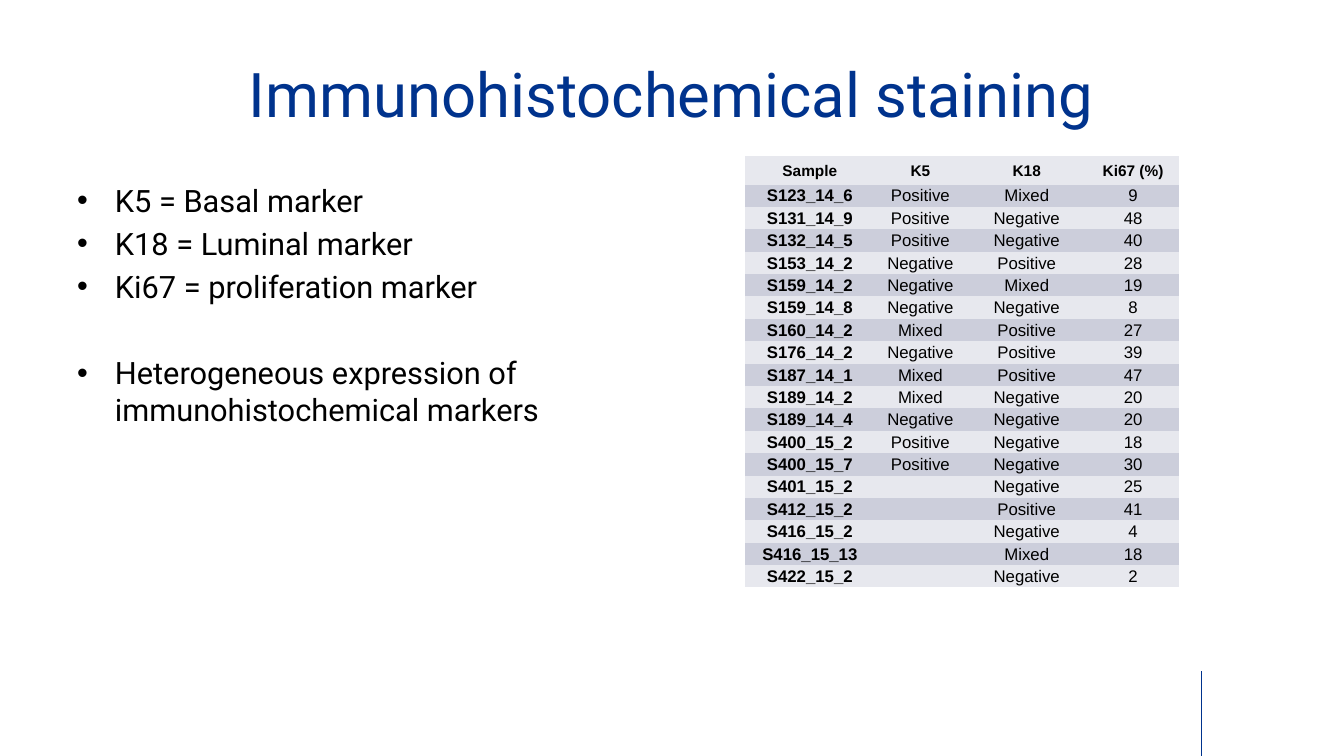
from dataclasses import dataclass

from lxml.etree import SubElement
from pptx import Presentation
from pptx.dml.color import RGBColor
from pptx.enum.shapes import MSO_CONNECTOR
from pptx.enum.text import MSO_ANCHOR, MSO_AUTO_SIZE, PP_ALIGN
from pptx.oxml.ns import qn
from pptx.util import Cm, Pt

TITLE = "Immunohistochemical staining"

# Bullet text and the space before it in points
BULLETS = [
    ("K5 = Basal marker", 0),
    ("K18 = Luminal marker", 4.4),
    ("Ki67 = proliferation marker", 4.4),
    ("Heterogeneous expression of immunohistochemical markers", 35.2),
]

HEADER = ("Sample", "K5", "K18", "Ki67 (%)")
SAMPLES = [
    ("S123_14_6", "Positive", "Mixed", "9"),
    ("S131_14_9", "Positive", "Negative", "48"),
    ("S132_14_5", "Positive", "Negative", "40"),
    ("S153_14_2", "Negative", "Positive", "28"),
    ("S159_14_2", "Negative", "Mixed", "19"),
    ("S159_14_8", "Negative", "Negative", "8"),
    ("S160_14_2", "Mixed", "Positive", "27"),
    ("S176_14_2", "Negative", "Positive", "39"),
    ("S187_14_1", "Mixed", "Positive", "47"),
    ("S189_14_2", "Mixed", "Negative", "20"),
    ("S189_14_4", "Negative", "Negative", "20"),
    ("S400_15_2", "Positive", "Negative", "18"),
    ("S400_15_7", "Positive", "Negative", "30"),
    ("S401_15_2", "", "Negative", "25"),
    ("S412_15_2", "", "Positive", "41"),
    ("S416_15_2", "", "Negative", "4"),
    ("S416_15_13", "", "Mixed", "18"),
    ("S422_15_2", "", "Negative", "2"),
]
COLUMN_WIDTHS = [Cm(3.28), Cm(2.29), Cm(3.07), Cm(2.29)]
TABLE_HEIGHT, HEADER_HEIGHT = Cm(10.87), Cm(0.71)
PLAIN_TABLE_STYLE = "{2D5ABB26-0587-4C30-8999-92F81FD0307C}"


@dataclass(frozen=True)
class Theme:
    blue: RGBColor = RGBColor(0x00, 0x33, 0x8D)
    black: RGBColor = RGBColor(0, 0, 0)
    bands: tuple = (RGBColor(0xE7, 0xE8, 0xEE), RGBColor(0xCC, 0xCE, 0xDB))
    slide_font: str = "Roboto"
    table_font: str = "Arial"
    title_size: int = 44
    bullet_size: int = 22
    header_size: int = 11
    sample_size: int = 12


THEME = Theme()


def write(paragraph, text, *, size, font=THEME.slide_font, color=THEME.black,
          bold=False, align=PP_ALIGN.LEFT, before=0):
    """Fill a paragraph; an empty one still keeps its type size."""
    paragraph.alignment = align
    paragraph.space_before = Pt(before)
    if not text:
        SubElement(paragraph._p, qn("a:endParaRPr"), sz=str(size * 100))
        return
    run = paragraph.add_run()
    run.text = text
    run.font.name, run.font.size, run.font.bold = font, Pt(size), bold
    run.font.color.rgb = color


def place(shape, left, top, width, height):
    shape.left, shape.top = Cm(left), Cm(top)
    shape.width, shape.height = Cm(width), Cm(height)
    shape.text_frame.auto_size = MSO_AUTO_SIZE.NONE


def add_title(slide):
    title = slide.shapes.title
    place(title, 1.69, 0.76, 30.48, 3.18)
    title.text_frame.vertical_anchor = MSO_ANCHOR.MIDDLE
    write(title.text_frame.paragraphs[0], TITLE, size=THEME.title_size,
          color=THEME.blue, align=PP_ALIGN.CENTER)


def add_markers(slide):
    markers = slide.placeholders[1]
    place(markers, 1.69, 4.45, 15.82, 12.09)
    frame = markers.text_frame
    for index, (text, before) in enumerate(BULLETS):
        paragraph = frame.add_paragraph() if index else frame.paragraphs[0]
        write(paragraph, text, size=THEME.bullet_size, before=before)


def add_staining_table(slide):
    rows = [HEADER, *SAMPLES]
    frame = slide.shapes.add_table(len(rows), len(HEADER), Cm(18.77), Cm(3.94),
                                   sum(COLUMN_WIDTHS), TABLE_HEIGHT)
    table = frame.table
    table._tbl.tblPr.find(qn("a:tableStyleId")).text = PLAIN_TABLE_STYLE
    table.first_row = table.horz_banding = False
    for column, width in zip(table.columns, COLUMN_WIDTHS):
        column.width = width
    sample_height = (TABLE_HEIGHT - HEADER_HEIGHT) // len(SAMPLES)
    for r, values in enumerate(rows):
        table.rows[r].height = sample_height if r else HEADER_HEIGHT
        for c, value in enumerate(values):
            cell = table.cell(r, c)
            cell.fill.solid()
            cell.fill.fore_color.rgb = THEME.bands[r % 2]
            cell.vertical_anchor = MSO_ANCHOR.MIDDLE
            cell.margin_left = cell.margin_right = cell.margin_top = Cm(0.02)
            cell.margin_bottom = 0
            write(cell.text_frame.paragraphs[0], value, font=THEME.table_font,
                  size=THEME.sample_size if r else THEME.header_size,
                  bold=r == 0 or c == 0, align=PP_ALIGN.CENTER)


def add_footer_rule(slide, slide_height):
    x = Cm(30.28)
    rule = slide.shapes.add_connector(MSO_CONNECTOR.STRAIGHT, x, slide_height, x, Cm(16.92))
    rule.line.color.rgb = THEME.blue
    rule.line.width = Pt(0.75)
    SubElement(rule._element.spPr, qn("a:effectLst"))


def main():
    deck = Presentation()
    deck.slide_width, deck.slide_height = Cm(33.87), Cm(19.05)
    slide = deck.slides.add_slide(deck.slide_layouts[1])
    add_footer_rule(slide, deck.slide_height)
    add_title(slide)
    add_markers(slide)
    add_staining_table(slide)
    deck.save("out.pptx")


if __name__ == "__main__":
    main()
